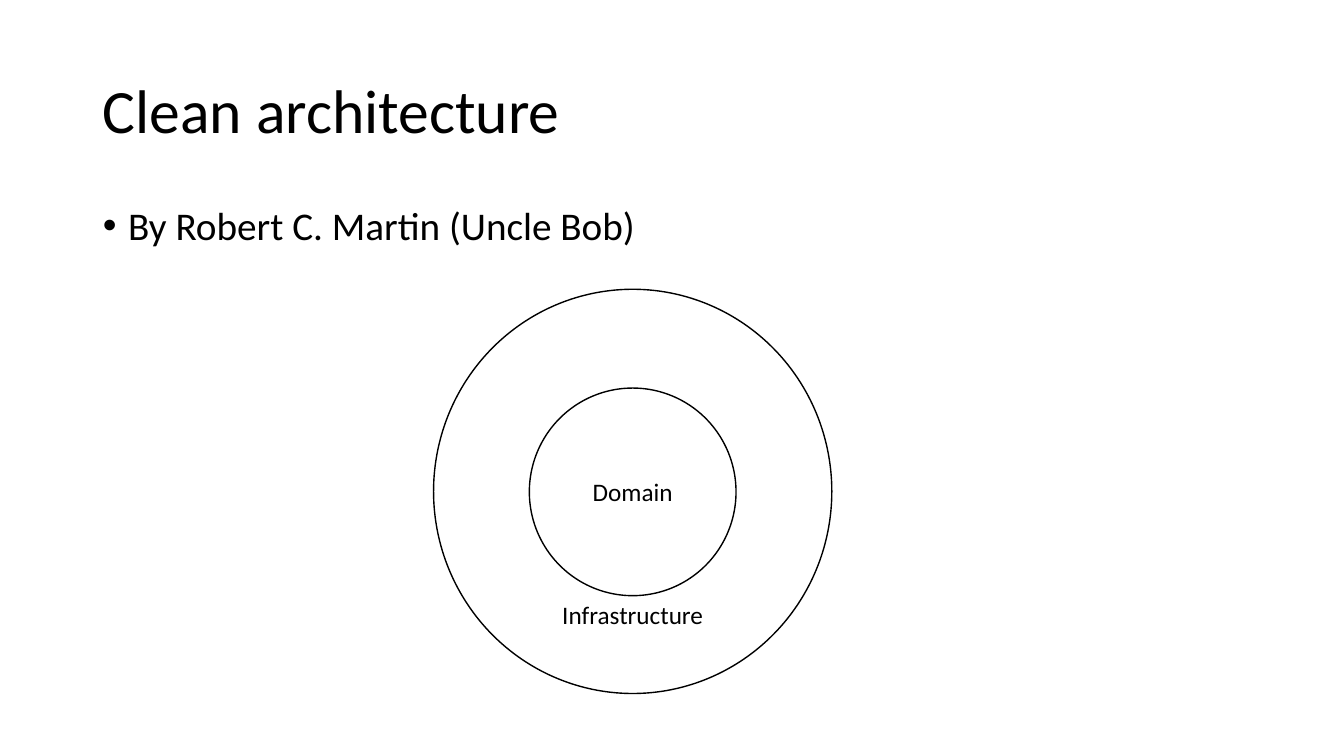
from lxml import etree
from pptx import Presentation
from pptx.dml.color import RGBColor
from pptx.enum.shapes import MSO_SHAPE
from pptx.enum.text import MSO_ANCHOR, MSO_AUTO_SIZE, PP_ALIGN
from pptx.oxml.ns import qn
from pptx.util import Inches, Pt

OVAL = MSO_SHAPE.OVAL
TOP, MIDDLE, BOTTOM = MSO_ANCHOR.TOP, MSO_ANCHOR.MIDDLE, MSO_ANCHOR.BOTTOM
LEFT, CENTER = PP_ALIGN.LEFT, PP_ALIGN.CENTER
NO_FIT = MSO_AUTO_SIZE.NONE

BLACK = RGBColor(0x00, 0x00, 0x00)
WHITE = RGBColor(0xFF, 0xFF, 0xFF)

# Grid of 0.01 inch units
COLS, ROWS = 1333, 750


class SlideBuilder:
    font = "Calibri"
    ink = BLACK
    paper = WHITE

    def __init__(self, prs):
        self.col = prs.slide_width / COLS
        self.row = prs.slide_height / ROWS
        self.slide = prs.slides.add_slide(prs.slide_layouts[1])

    def box(self, x, y, w, h):
        return (round(x * self.col), round(y * self.row),
                round(w * self.col), round(h * self.row))

    def set_text(self, s, text, size, anchor, para):
        tf = s.text_frame
        for name, value in {"word_wrap": True, "auto_size": NO_FIT,
                            "vertical_anchor": anchor}.items():
            setattr(tf, name, value)
        p = tf.paragraphs[0]
        for name, value in para.items():
            setattr(p, name, value)
        r = p.add_run()
        r.text = text
        for name, value in {"name": self.font, "size": Pt(size)}.items():
            setattr(r.font, name, value)
        r.font.color.rgb = self.ink
        return p

    def placeholder(self, idx, area, text, size, anchor, para):
        s = self.slide.placeholders[idx]
        s.left, s.top, s.width, s.height = self.box(*area)
        return self.set_text(s, text, size, anchor, para)

    def title(self, area, text):
        self.placeholder(0, area, text, 44, MIDDLE,
                         {"alignment": LEFT, "line_spacing": 0.9})

    def bullet(self, area, text):
        p = self.placeholder(1, area, text, 28, TOP,
                             {"alignment": LEFT, "line_spacing": 0.9,
                              "space_before": Pt(10)})
        pPr = p._p.get_or_add_pPr()
        pPr.set("marL", str(Inches(0.25)))
        pPr.set("indent", str(-Inches(0.25)))
        etree.SubElement(pPr, qn("a:buFont")).set("typeface", "Arial")
        etree.SubElement(pPr, qn("a:buChar")).set("char", "•")

    def ring(self, area, text, anchor):
        s = self.slide.shapes.add_shape(OVAL, *self.box(*area))
        s.shadow.inherit = False
        s.fill.solid()
        s.fill.fore_color.rgb = self.paper
        s.line.color.rgb = self.ink
        s.line.width = Pt(1)
        self.set_text(s, text, 18, anchor, {"alignment": CENTER})


def main():
    prs = Presentation()
    prs.slide_width, prs.slide_height = Inches(13.33), Inches(7.5)
    page = SlideBuilder(prs)

    # Heading and list
    page.title((92, 40, 1150, 145), "Clean architecture")
    page.bullet((92, 200, 1150, 476), "By Robert C. Martin (Uncle Bob)")

    # Architecture layers, outermost first
    for area, name, anchor in (
        ((430, 287, 395, 401), "Infrastructure", BOTTOM),
        ((525, 385, 205, 206), "Domain", MIDDLE),
    ):
        page.ring(area, name, anchor)

    prs.save("out.pptx")


if __name__ == "__main__":
    main()
